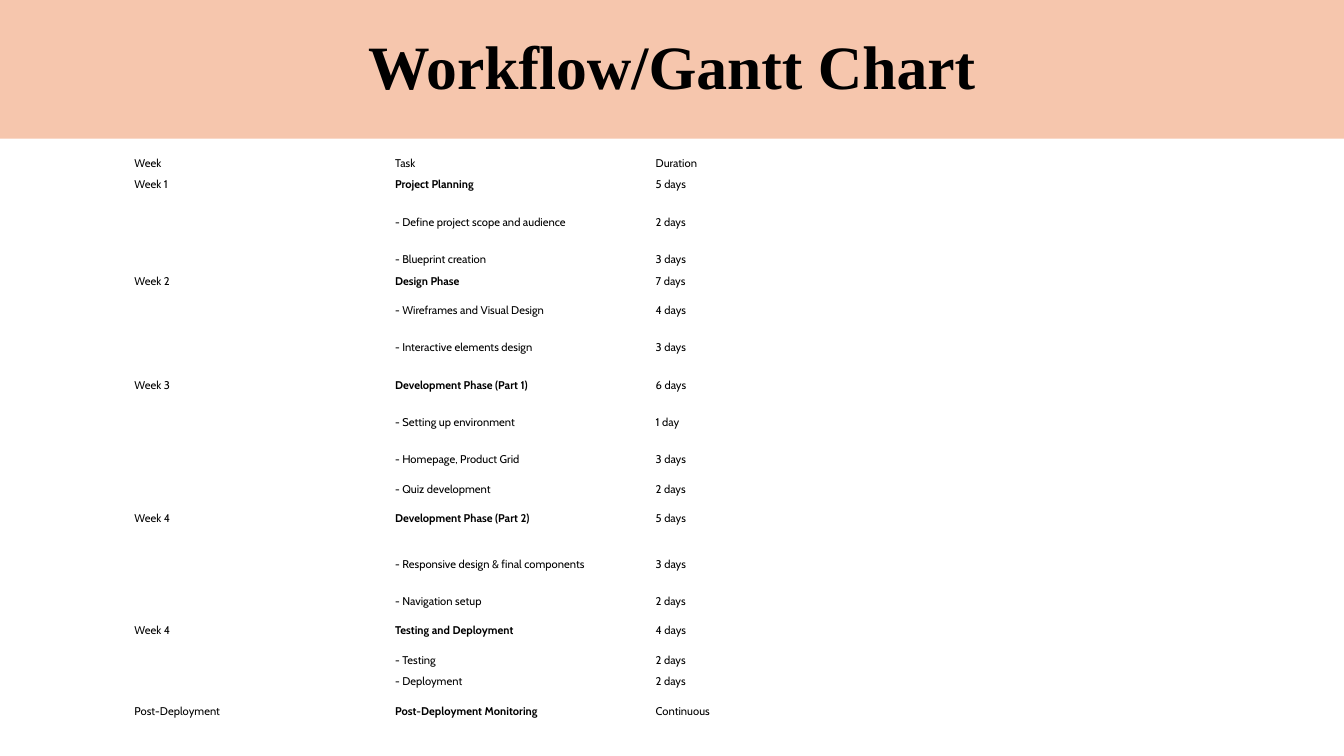
import pptx
import pptx.dml.color
import pptx.enum.shapes
import pptx.enum.text
import pptx.oxml
import pptx.util
from pptx.util import Pt

COLORS = {"banner": "F6C6AD", "text": "000000"}
SHORT, MEDIUM, TALL = 15.3, 26.7, 38.2
COLUMN_WIDTH = 186.2

SCHEDULE = [
    (SHORT, "Week", "Task", "Duration"),
    (SHORT, "Week 1", "Project Planning", "5 days"),
    (TALL, "", "- Define project scope and audience", "2 days"),
    (SHORT, "", "- Blueprint creation", "3 days"),
    (SHORT, "Week 2", "Design Phase", "7 days"),
    (MEDIUM, "", "- Wireframes and Visual Design", "4 days"),
    (MEDIUM, "", "- Interactive elements design", "3 days"),
    (MEDIUM, "Week 3", "Development Phase (Part 1)", "6 days"),
    (MEDIUM, "", "- Setting up environment", "1 day"),
    (MEDIUM, "", "- Homepage, Product Grid", "3 days"),
    (SHORT, "", "- Quiz development", "2 days"),
    (MEDIUM, "Week 4", "Development Phase (Part 2)", "5 days"),
    (TALL, "", "- Responsive design & final components", "3 days"),
    (SHORT, "", "- Navigation setup", "2 days"),
    (MEDIUM, "Week 4", "Testing and Deployment", "4 days"),
    (SHORT, "", "- Testing", "2 days"),
    (SHORT, "", "- Deployment", "2 days"),
    (MEDIUM, "Post-Deployment", "Post-Deployment Monitoring", "Continuous"),
]


def rgb(name):
    return pptx.dml.color.RGBColor.from_string(COLORS[name])


def add_run(p, text, font, size, bold=False):
    r = p.add_run()
    r.text = text
    r.font.name = font
    r.font.size = Pt(size)
    r.font.bold = bold
    r.font.color.rgb = rgb("text")


def add_banner(s, text, width, height):
    sp = s.shapes.add_shape(
        pptx.enum.shapes.MSO_SHAPE.RECTANGLE, 0, 0, Pt(width), Pt(height))
    sp.shadow.inherit = False
    sp.fill.solid()
    sp.fill.fore_color.rgb = rgb("banner")
    sp.line.fill.background()
    tf = sp.text_frame
    tf.word_wrap = True
    tf.vertical_anchor = pptx.enum.text.MSO_ANCHOR.MIDDLE
    p = tf.paragraphs[0]
    p.alignment = pptx.enum.text.PP_ALIGN.CENTER
    p.line_spacing = 0.9
    add_run(p, text, "Times New Roman", 44, True)


def fill_cell(cell, text, bold):
    cell.fill.background()
    cell.vertical_anchor = pptx.enum.text.MSO_ANCHOR.MIDDLE
    cell.margin_left = cell.margin_right = Pt(3)
    cell.margin_top = cell.margin_bottom = Pt(1.5)
    p = cell.text_frame.paragraphs[0]
    if text:
        add_run(p, text, "Cabin", 8, bold)
    else:
        end = pptx.oxml.parse_xml(
            '<a:endParaRPr xmlns:a="http://schemas.openxmlformats.org/'
            'drawingml/2006/main" sz="800"><a:latin typeface="Cabin"/>'
            '</a:endParaRPr>')
        p._p.append(end)


def add_schedule(s, rows, left, top):
    columns = len(rows[0]) - 1
    height = sum(row[0] for row in rows)
    table = s.shapes.add_table(
        len(rows), columns, Pt(left), Pt(top),
        Pt(columns * COLUMN_WIDTH), Pt(height)).table
    table.first_row = False
    table.horz_banding = False
    for column in table.columns:
        column.width = Pt(COLUMN_WIDTH)
    for i, (row_height, *texts) in enumerate(rows):
        table.rows[i].height = Pt(row_height)
        is_phase = i > 0 and texts[0] != ""
        for j, text in enumerate(texts):
            fill_cell(table.cell(i, j), text, is_phase and j == 1)


def main():
    prs = pptx.Presentation()
    prs.slide_width, prs.slide_height = Pt(960), Pt(540)
    s = prs.slides.add_slide(prs.slide_layouts[6])
    add_banner(s, "Workflow/Gantt Chart", 960, 99)
    add_schedule(s, SCHEDULE, 93, 109.2)
    prs.save("out.pptx")


if __name__ == "__main__":
    main()
